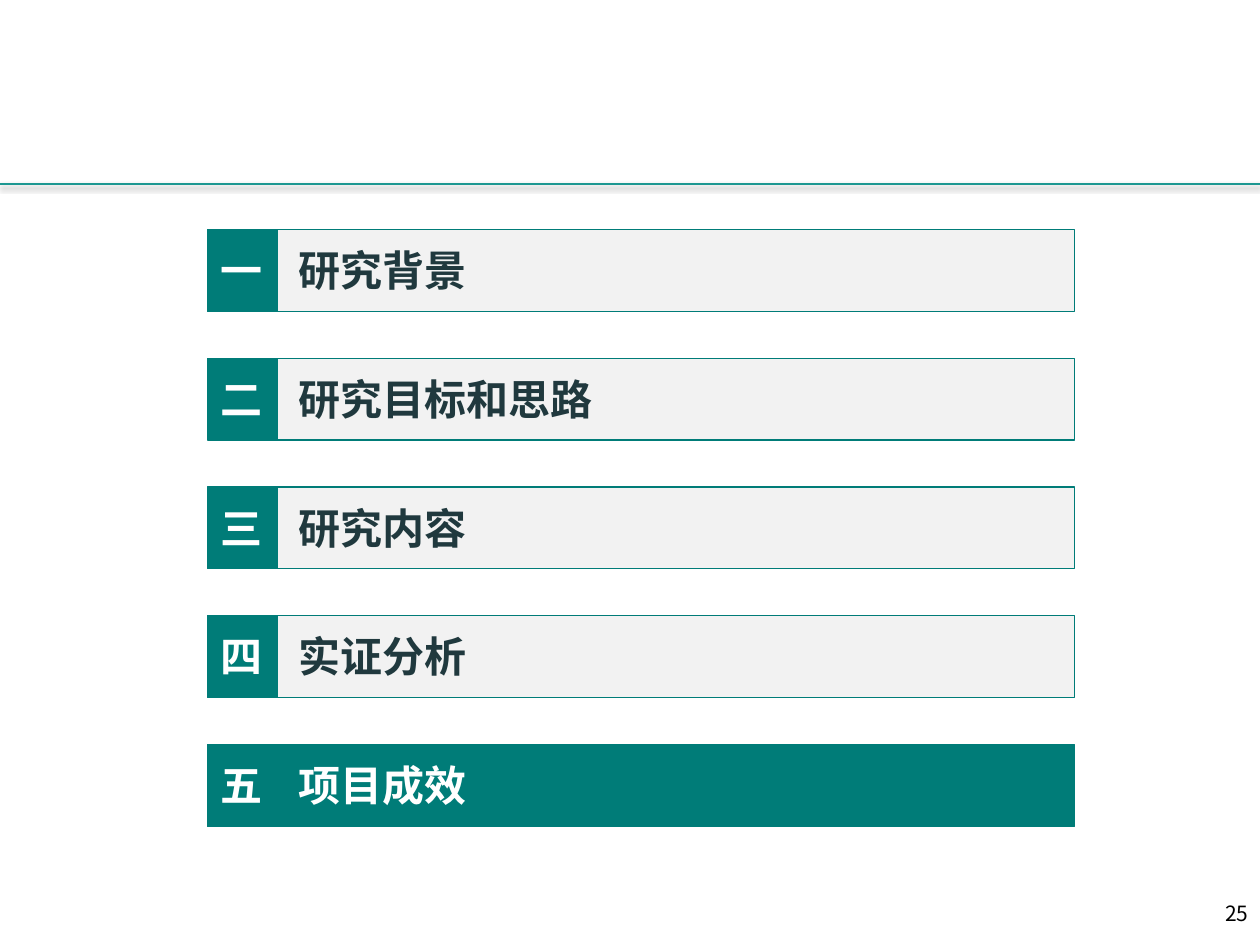
from lxml import etree
from pptx import Presentation
from pptx.dml.color import RGBColor
from pptx.enum.shapes import MSO_CONNECTOR, MSO_SHAPE
from pptx.enum.text import MSO_AUTO_SIZE, PP_ALIGN
from pptx.oxml import parse_xml
from pptx.oxml.ns import nsdecls
from pptx.util import Inches, Pt

RECTANGLE = MSO_SHAPE.RECTANGLE
STRAIGHT = MSO_CONNECTOR.STRAIGHT
FIT_SHAPE = MSO_AUTO_SIZE.SHAPE_TO_FIT_TEXT
LEFT, CENTER, RIGHT = PP_ALIGN.LEFT, PP_ALIGN.CENTER, PP_ALIGN.RIGHT

FONT = "Noto Sans CJK SC"
COLORS = {
    "teal": "007C78",
    "rule": "1C9791",
    "bar": "F2F2F2",
    "title": "20393E",
    "white": "FFFFFF",
    "black": "000000",
}
SECTIONS = [
    ("一", "研究背景"),
    ("二", "研究目标和思路"),
    ("三", "研究内容"),
    ("四", "实证分析"),
    ("五", "项目成效"),
]
CURRENT_NUMERAL = "五"
FIRST_TOP, LAST_TOP = 1.82, 5.91
ROW_STEP = (LAST_TOP - FIRST_TOP) / (len(SECTIONS) - 1)
BAR_LEFT, BAR_HEIGHT = 1.65, 0.65
CHARACTER_WIDTH = 0.36


def add_block(shapes, top, width, color):
    """Add a teal-edged rectangle at the left edge of the agenda."""
    block = shapes.add_shape(RECTANGLE, Inches(BAR_LEFT), Inches(top),
                             Inches(width), Inches(BAR_HEIGHT))
    block.shadow.inherit = False
    block.fill.solid()
    block.fill.fore_color.rgb = RGBColor.from_string(COLORS[color])
    block.line.color.rgb = RGBColor.from_string(COLORS["teal"])
    block.line.width = Pt(0.75)


def add_label(shapes, text, box, size, color, align, bold=True):
    label = shapes.add_textbox(*[Inches(length) for length in box])
    frame = label.text_frame
    frame.margin_left = frame.margin_right = 0
    frame.margin_top = frame.margin_bottom = 0
    frame.word_wrap = False
    frame.auto_size = FIT_SHAPE
    frame.text = text
    paragraph = frame.paragraphs[0]
    paragraph.alignment = align
    font = paragraph.runs[0].font
    font.name = FONT
    font.size = Pt(size)
    font.bold = bold
    font.color.rgb = RGBColor.from_string(COLORS[color])
    east_asian = parse_xml(f'<a:ea {nsdecls("a")} typeface="{FONT}"/>')
    paragraph.runs[0]._r.get_or_add_rPr().append(east_asian)


prs = Presentation()
prs.slide_width = Inches(10)
prs.slide_height = Inches(7.5)
slide = prs.slides.add_slide(prs.slide_layouts[6])

# Header rule with a soft shadow below it
header_rule = slide.shapes.add_connector(
    STRAIGHT, Inches(0), Inches(1.46), Inches(10), Inches(1.46))
header_rule.line.color.rgb = RGBColor.from_string(COLORS["rule"])
header_rule.line.width = Pt(1.5)
header_rule._element.spPr.append(etree.fromstring(
    f'<a:effectLst {nsdecls("a")}>'
    f'<a:outerShdw blurRad="{Pt(3.1)}" dist="{Pt(1.8)}" dir="5400000" rotWithShape="0">'
    f'<a:srgbClr val="{COLORS["black"]}"><a:alpha val="35000"/></a:srgbClr>'
    '</a:outerShdw></a:effectLst>'))

# Agenda rows, the current section filled in teal
for row, (numeral, title) in enumerate(SECTIONS):
    is_current = numeral == CURRENT_NUMERAL
    top = FIRST_TOP + row * ROW_STEP
    text_top = top + 0.12
    section = slide.shapes.add_group_shape().shapes
    add_block(section, top, 6.88, "teal" if is_current else "bar")
    add_block(section, top, 0.55, "teal")
    add_label(section, numeral, (1.73, text_top, 0.38, 0.51), 24, "white", CENTER)
    add_label(section, title, (2.37, text_top, CHARACTER_WIDTH * len(title), 0.51),
              24, "white" if is_current else "title", LEFT)

# Page number
add_label(slide.shapes, "25", (9.7, 7.15, 0.21, 0.26), 12, "black", RIGHT, bold=False)

prs.save("out.pptx")
